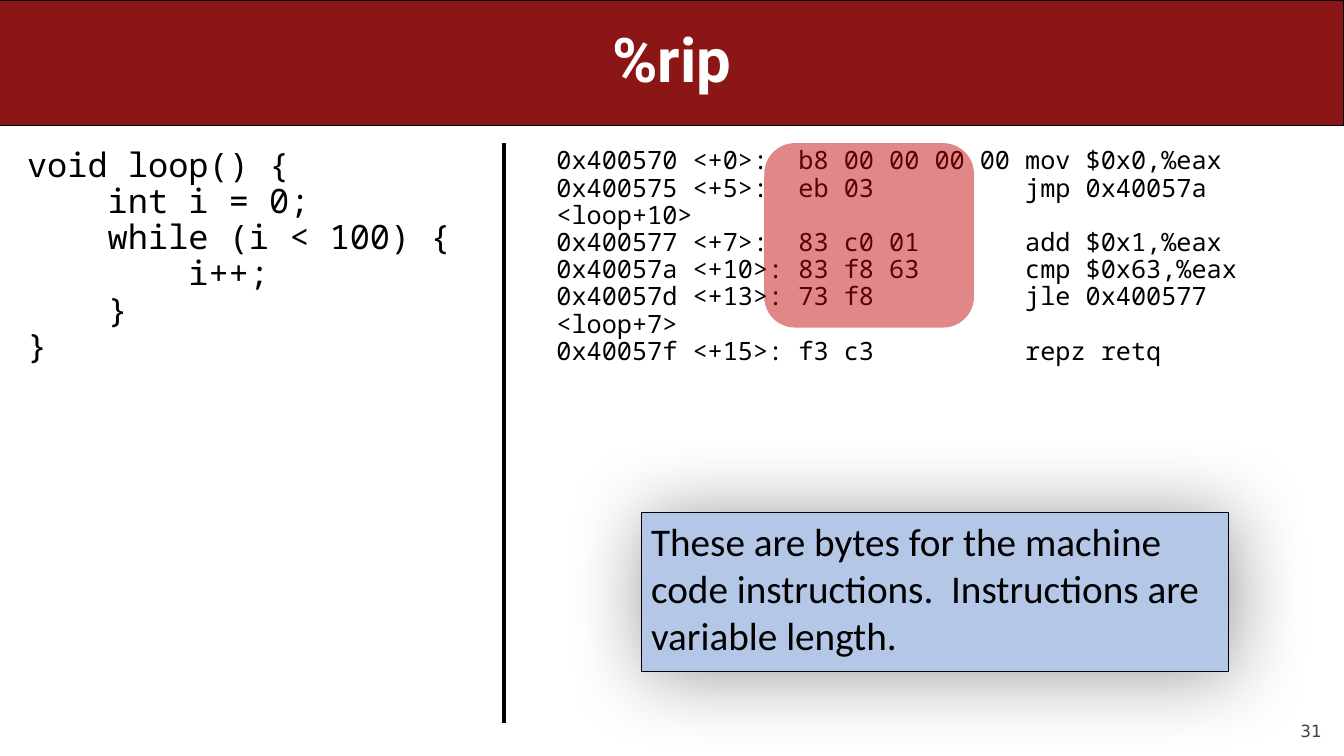
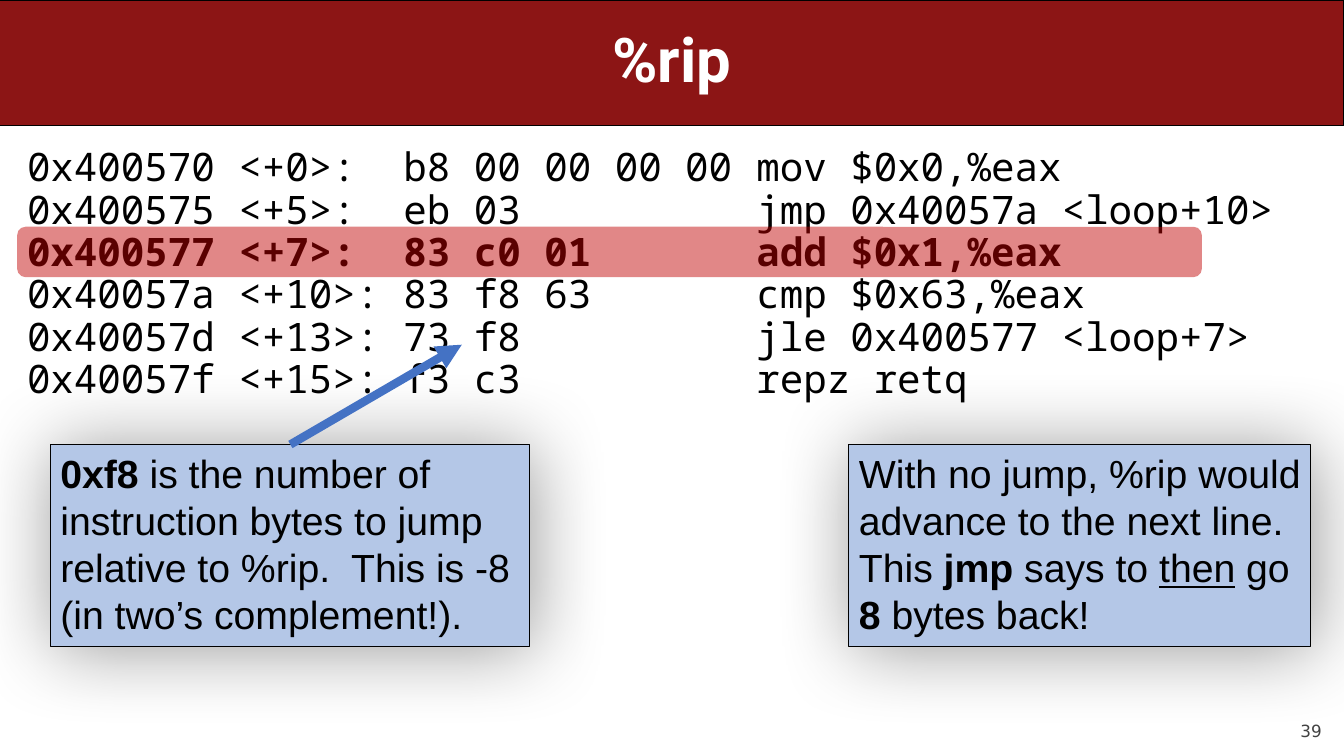
from pptx import Presentation
from pptx.dml.color import RGBColor
from pptx.enum.shapes import MSO_CONNECTOR, MSO_SHAPE
from pptx.enum.text import MSO_ANCHOR, MSO_AUTO_SIZE, PP_ALIGN
from pptx.oxml.ns import qn
from pptx.util import Inches, Pt
from lxml.etree import SubElement

# Content
TITLE = "%rip"
SOURCE = [  # (indent level, code)
    (0, "void loop() {"),
    (1, "int i = 0;"),
    (1, "while (i < 100) {"),
    (2, "i++;"),
    (1, "}"),
    (0, "}"),
]
LISTING = [  # (address, bytes, instruction)
    ("0x400570 <+0>:", "b8 00 00 00 00", "mov $0x0,%eax"),
    ("0x400575 <+5>:", "eb 03", "jmp 0x40057a <loop+10>"),
    ("0x400577 <+7>:", "83 c0 01", "add $0x1,%eax"),
    ("0x40057a <+10>:", "83 f8 63", "cmp $0x63,%eax"),
    ("0x40057d <+13>:", "73 f8", "jle 0x400577 <loop+7>"),
    ("0x40057f <+15>:", "f3 c3", "repz retq"),
]
BYTES = [("These are bytes for the machine code instructions.  "
          "Instructions are variable length.", {})]
BOLD, UNDER = {"bold": True}, {"underline": True}
OFFSET = [("0xf8", BOLD),
          (" is the number of instruction bytes to jump relative to %rip.  "
           "This is -8 (in two’s complement!).", {})]
BACK = [("With no jump, %rip would advance to the next line.  This ", {}),
        ("jmp", BOLD), (" says to ", {}), ("then", UNDER), (" go ", {}),
        ("8 ", BOLD), ("bytes back!", {})]

# Shared style
RED, PINK, PALE, BLUE = "8C1515", "C00000", "B4C7E7", "4472C4"
BLACK, WHITE, GRAY = "000000", "FFFFFF", "424242"
MONO = "Noto Sans Mono"
HEAD = {"name": "Roboto", "size": Pt(44), "bold": True}
FOOT = {"name": "DejaVu Sans", "size": Pt(12)}
TOP = 1.42
COLS = (16, 31)  # listing columns, in characters
STEP = 4         # characters per indent level


def rgb(code):
    return RGBColor.from_string(code)


def style(thing, values):
    for key, value in values.items():
        setattr(thing, key, value)


def ink(font, color, values):
    style(font, values)
    font.color.rgb = rgb(color)


def add(para, text, color, values):
    run = para.add_run()
    run.text = text
    ink(run.font, color, values)


def text_box(slide, box):
    frame = slide.shapes.add_textbox(*map(Inches, box)).text_frame
    frame.word_wrap = True
    return frame


def shape(slide, kind, box, fill, edge=None):
    item = slide.shapes.add_shape(kind, *map(Inches, box))
    item.shadow.inherit = False
    item.fill.solid()
    item.fill.fore_color.rgb = rgb(fill)
    if edge:
        item.line.color.rgb = rgb(edge)
        item.line.width = Pt(0.75)
    else:
        item.line.fill.background()
    return item


def line(slide, start, end, color, width, arrow=False):
    item = slide.shapes.add_connector(
        MSO_CONNECTOR.STRAIGHT, *map(Inches, start + end))
    item.line.color.rgb = rgb(color)
    item.line.width = Pt(width)
    if arrow:
        SubElement(item.line._get_or_add_ln(), qn("a:tailEnd"),
                   type="triangle")
    SubElement(item.element.spPr, qn("a:effectLst"))


def base(deck, number):
    """Title slide with red band and page number."""
    slide = deck.slides.add_slide(deck.slide_layouts[5])
    band = shape(slide, MSO_SHAPE.RECTANGLE, (0, 0, 13.33, 1.25), RED, BLACK)
    slide.shapes.element.insert(2, band.element)  # behind the title
    title = slide.shapes.title
    style(title, {"left": Inches(0.5), "top": Inches(0),
                  "width": Inches(12.33), "height": Inches(1.25)})
    style(title.text_frame, {"auto_size": MSO_AUTO_SIZE.NONE,
                             "vertical_anchor": MSO_ANCHOR.MIDDLE})
    para = title.text_frame.paragraphs[0]
    style(para, {"alignment": PP_ALIGN.CENTER, "line_spacing": 0.9})
    add(para, TITLE, WHITE, HEAD)

    frame = text_box(slide, (12, 6.95, 1.11, 0.4))
    style(frame, {"margin_left": 0, "margin_right": 0, "margin_top": 0,
                  "margin_bottom": 0, "vertical_anchor": MSO_ANCHOR.BOTTOM})
    frame.paragraphs[0].alignment = PP_ALIGN.RIGHT
    add(frame.paragraphs[0], str(number), GRAY, FOOT)
    return slide


def code(slide, box, rows, size, bold=None):
    """Monospaced rows: (indent level, text) or table-like columns."""
    frame = text_box(slide, box)
    char = Pt(size * 0.6)  # advance of one character
    for i, row in enumerate(rows):
        para = frame.paragraphs[0] if i == 0 else frame.add_paragraph()
        para.line_spacing = 0.9
        props = para._p.get_or_add_pPr()
        if len(row) == 2:
            level, text = row
            props.set("marL", str(level * STEP * char))
        else:
            text = "\t".join(row)
            tabs = SubElement(props, qn("a:tabLst"))
            for col in COLS:
                SubElement(tabs, qn("a:tab"), pos=str(col * char), algn="l")
        add(para, text, BLACK,
            {"name": MONO, "size": Pt(size), "bold": i == bold})


def note(slide, box, runs, face):
    """Blue callout with a soft shadow."""
    item = shape(slide, MSO_SHAPE.RECTANGLE, box, PALE, BLACK)
    glow = SubElement(item.element.spPr.find(qn("a:effectLst")),
                      qn("a:outerShdw"), blurRad=str(Pt(58)),
                      dist=str(Pt(3)), dir="2700000", rotWithShape="0")
    tone = SubElement(glow, qn("a:srgbClr"), val=BLACK)
    SubElement(tone, qn("a:alpha"), val="40000")
    frame = item.text_frame
    style(frame, {"word_wrap": True, "vertical_anchor": MSO_ANCHOR.TOP})
    para = frame.paragraphs[0]
    para.alignment = PP_ALIGN.LEFT
    for text, extra in runs:
        add(para, text, BLACK, {"name": face, "size": Pt(28), **extra})


def mark(slide, box):
    """See-through highlight."""
    item = shape(slide, MSO_SHAPE.ROUNDED_RECTANGLE, box, PINK)
    tone = item.element.spPr.find(qn("a:solidFill"))[0]
    SubElement(tone, qn("a:alpha"), val="47000")


def main():
    deck = Presentation()
    style(deck, {"slide_width": Inches(13.33), "slide_height": Inches(7.5)})

    # Source beside its machine code
    slide = base(deck, 31)
    code(slide, (0.17, TOP, 4.42, 5.67), SOURCE, 24)
    code(slide, (5.42, TOP, 7.71, 5.67), LISTING, 18)
    line(slide, (5, TOP), (5, 7.17), BLACK, 3)
    note(slide, (6.36, 5.08, 5.83, 1.58), BYTES, "Calibri")
    mark(slide, (7.58, TOP, 2.08, 1.83))

    # Relative jump
    slide = base(deck, 39)
    code(slide, (0.17, TOP, 12.96, 5.67), LISTING, 28, bold=2)
    mark(slide, (0.17, 2.25, 11.75, 0.5))
    note(slide, (0.5, 4.41, 4.75, 2), OFFSET, "Arial")
    line(slide, (2.88, 4.41), (4.58, 3.42), BLUE, 6, arrow=True)
    note(slide, (8.42, 4.41, 4.58, 2), BACK, "Arial")

    deck.save("out.pptx")


if __name__ == "__main__":
    main()
